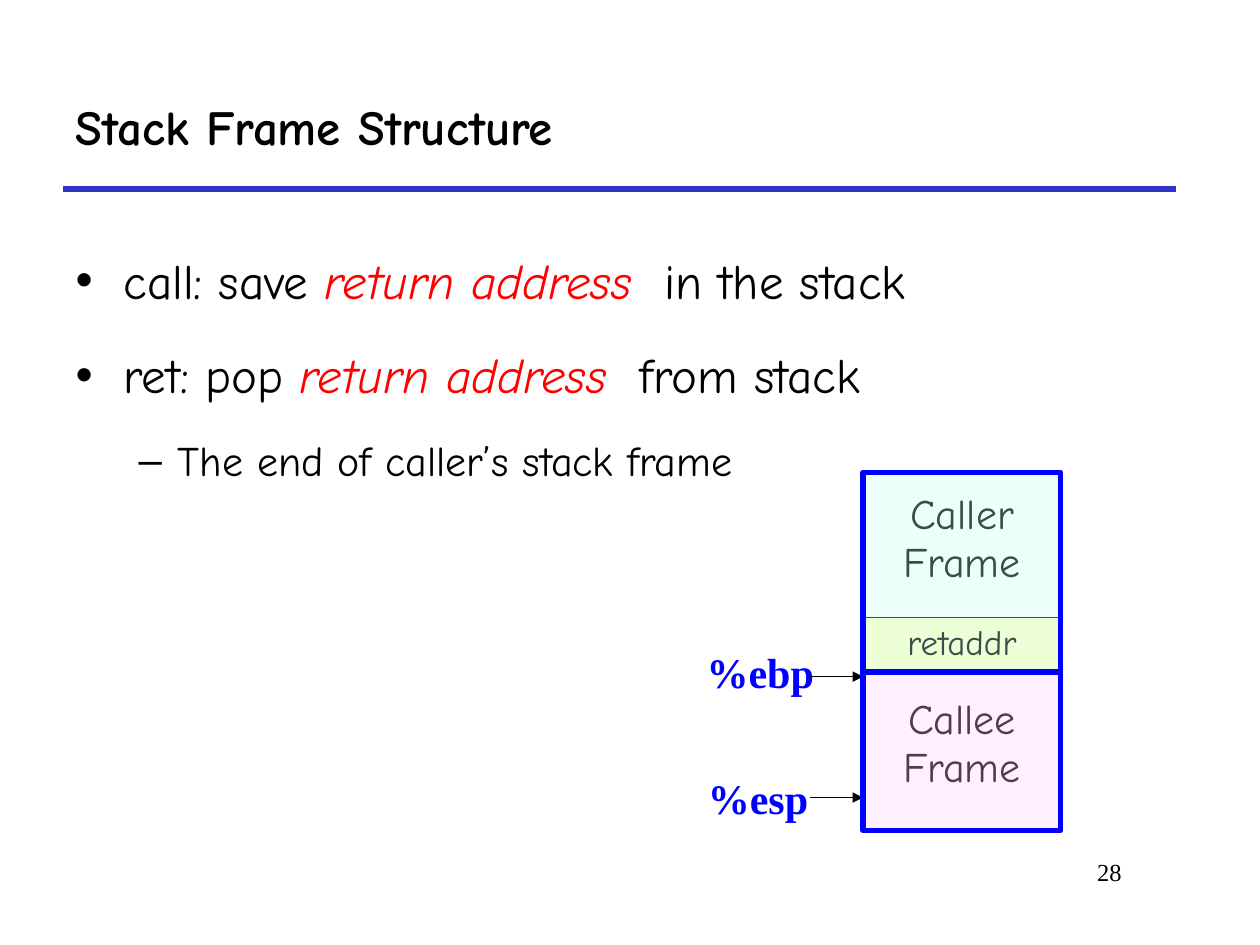
"""Build the stack frame slide with its caller and callee diagram."""
from lxml import etree
from pptx import Presentation, util as u
from pptx.dml.color import RGBColor
from pptx.enum import shapes, text
from pptx.oxml.ns import qn

HAND, SERIF = "Comic Neue", "Times New Roman"
BLACK, BLUE, RED = "000000", "0000FF", "FF0000"
TITLE = "Stack Frame Structure"
PAGE = "28"
TERM = ("return address", RED, True)
POINTS = [
    (0, [("call: save ", BLACK, False), TERM, ("  in the stack", BLACK, False)]),
    (0, [("ret: pop ", BLACK, False), TERM, ("  from stack", BLACK, False)]),
    (1, [("The end of caller’s stack frame", BLACK, False)]),
]
LEVELS = [
    dict(mark="•", left=0.38, hang=-0.38, size=28, gap=7),
    dict(mark="–", left=0.81, hang=-0.31, size=24, gap=6),
]
LEFT, WIDE = 6.85, 1.57
CELLS = [
    dict(words="Callee\vFrame", top=5.33, high=1.25, size=24, pad=0.2, fill=None),
    dict(words="retaddr", top=4.9, high=0.43, size=20, pad=0.05, fill="FFFFCC"),
    dict(words="Caller\vFrame", top=3.75, high=1.58, size=24, pad=0.15, fill=None),
]
FRAMES = [(3.75, 1.58, "C2FFF0"), (5.34, 1.25, "FFCCFF")]
LABELS = [("%ebp", 5.51, 5.08, 1.05), ("%esp", 5.52, 6.08, 1)]
ARROWS = [5.37, 6.33]


def color(code):
    return RGBColor.from_string(code)


def inches(*sizes):
    return [u.Inches(size) for size in sizes]


def style(font, code=BLACK, **values):
    for key, value in values.items():
        setattr(font, key, value)
    font.color.rgb = color(code)


def node(parent, tag, **values):
    return etree.SubElement(parent, qn("a:" + tag), values)


def place(shape, *box):
    for key, value in zip(("left", "top", "width", "height"), inches(*box)):
        setattr(shape, key, value)


def line(slide, start, end, code, width, arrow=False):
    link = slide.shapes.add_connector(
        shapes.MSO_CONNECTOR.STRAIGHT, *inches(*start, *end))
    link.line.color.rgb = color(code)
    link.line.width = u.Pt(width)
    if arrow:
        node(link.line._get_or_add_ln(), "tailEnd", type="triangle")
    node(link._element.spPr, "effectLst")


def label(slide, words, box, size, align, wrap, **values):
    frame = slide.shapes.add_textbox(*inches(*box)).text_frame
    frame.word_wrap = wrap
    if not wrap:
        frame.auto_size = text.MSO_AUTO_SIZE.SHAPE_TO_FIT_TEXT
    para = frame.paragraphs[0]
    para.text, para.alignment = words, align
    style(para.runs[0].font, name=SERIF, size=u.Pt(size), **values)


def head(slide):
    title = slide.shapes.title
    place(title, 0.5, 0.5, 8.83, 1)
    frame = title.text_frame
    frame.text = TITLE
    frame.auto_size = text.MSO_AUTO_SIZE.NONE
    frame.vertical_anchor = text.MSO_ANCHOR.MIDDLE
    para = frame.paragraphs[0]
    para.alignment = text.PP_ALIGN.LEFT
    style(para.runs[0].font, name=HAND, size=u.Pt(28), bold=True)


def points(slide):
    body = slide.placeholders[1]
    place(body, 0.5, 1.75, 9.17, 4.83)
    frame = body.text_frame
    frame.auto_size = text.MSO_AUTO_SIZE.NONE
    for rank, (level, parts) in enumerate(POINTS):
        look = LEVELS[level]
        para = frame.add_paragraph() if rank else frame.paragraphs[0]
        para.level, para.line_spacing = level, 1.4
        para.space_before = u.Pt(look["gap"] if rank else 0)
        props = para._p.get_or_add_pPr()
        props.set("marL", str(u.Inches(look["left"])))
        props.set("indent", str(u.Inches(look["hang"])))
        node(node(props, "buClr"), "srgbClr", val=BLACK)
        node(props, "buChar", char=look["mark"])
        for words, code, slant in parts:
            run = para.add_run()
            run.text = words
            style(run.font, code, name=HAND, size=u.Pt(look["size"]), italic=slant)


def block(slide, words, top, high, size, pad, fill):
    table = slide.shapes.add_table(1, 1, *inches(LEFT, top, WIDE, high)).table
    table.first_row = table.horz_banding = False
    cell = table.cell(0, 0)
    cell.margin_top, cell.margin_bottom = inches(pad, 0.05)
    props = cell._tc.get_or_add_tcPr()
    for side in "LRTB":
        edge = node(props, "ln" + side, w=str(u.Pt(1.08)))
        node(node(edge, "solidFill"), "srgbClr", val=BLACK)
    if fill:
        cell.fill.solid()
        cell.fill.fore_color.rgb = color(fill)
    else:
        cell.fill.background()
    para = cell.text_frame.paragraphs[0]
    para.text, para.alignment = words, text.PP_ALIGN.CENTER
    for run in para.runs:
        style(run.font, name=HAND, size=u.Pt(size))


def cover(slide, top, high, code):
    shape = slide.shapes.add_shape(
        shapes.MSO_SHAPE.RECTANGLE, *inches(LEFT, top, WIDE, high))
    shape.shadow.inherit = False
    shape.fill.solid()
    shape.fill.fore_color.rgb = color(code)
    tint = shape._element.spPr.find(qn("a:solidFill")).find(qn("a:srgbClr"))
    node(tint, "alpha", val="30000")
    shape.line.color.rgb = color(BLUE)
    shape.line.width = u.Pt(3)


def main():
    deck = Presentation()
    deck.slide_width, deck.slide_height = inches(10, 7.5)
    slide = deck.slides.add_slide(deck.slide_layouts[1])
    line(slide, (0.5, 1.5), (9.33, 1.5), "3333CC", 3)
    label(slide, PAGE, (7.58, 6.75, 1.42, 0.5), 14, text.PP_ALIGN.RIGHT, True)
    head(slide)
    points(slide)
    block(slide, **CELLS[0])
    for words, left, top, width in LABELS:
        label(slide, words, (left, top, width, 0.5), 24, text.PP_ALIGN.LEFT,
              False, code=BLUE, bold=True)
    for y in ARROWS:
        line(slide, (6.43, y), (LEFT, y), BLACK, 0.75, arrow=True)
    for cell in CELLS[1:]:
        block(slide, **cell)
    for frame in FRAMES:
        cover(slide, *frame)
    deck.save("out.pptx")


if __name__ == "__main__":
    main()
